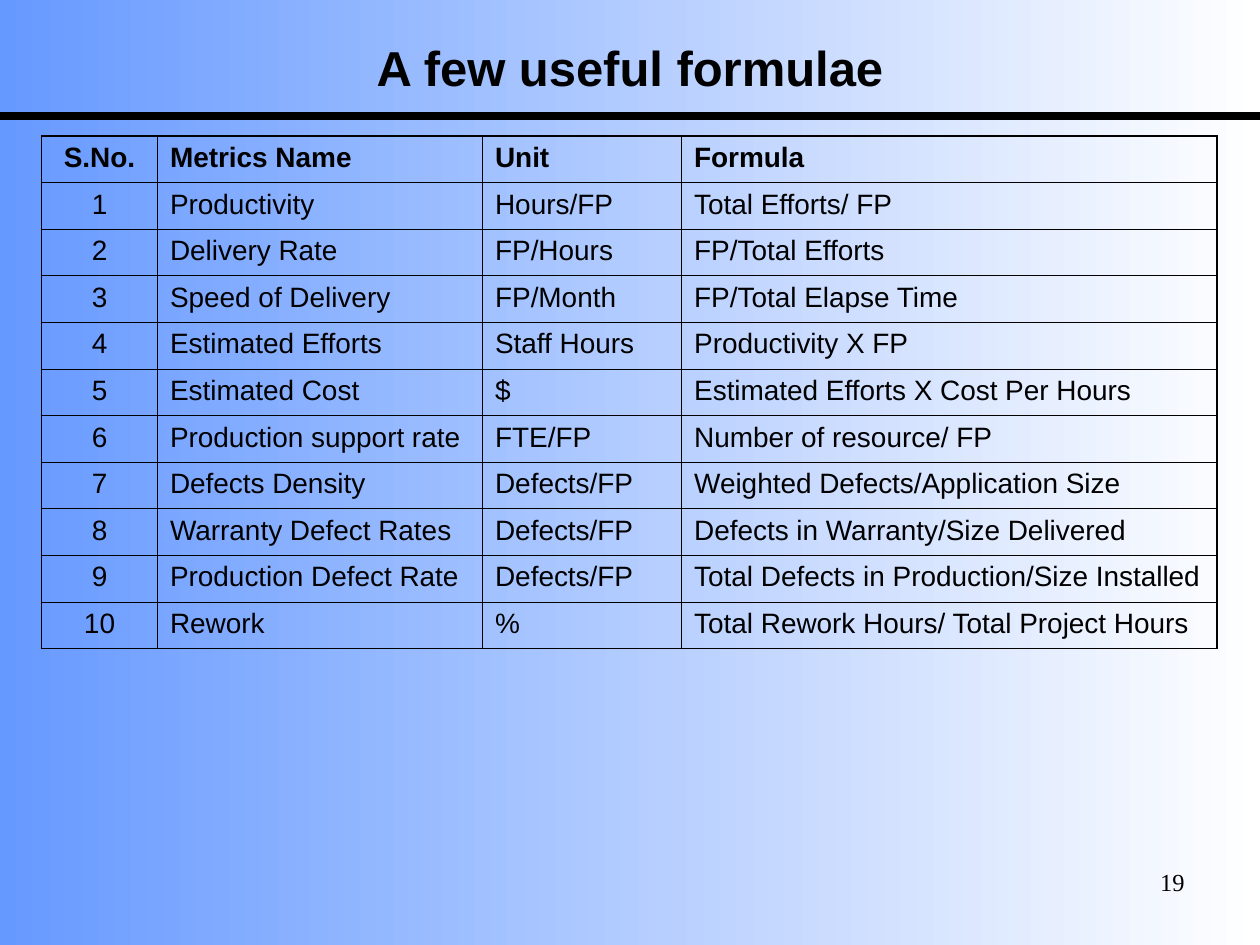
from dataclasses import dataclass

from lxml.etree import SubElement
from pptx import Presentation
from pptx.dml.color import RGBColor
from pptx.enum.shapes import MSO_CONNECTOR
from pptx.enum.text import MSO_ANCHOR, MSO_AUTO_SIZE, PP_ALIGN
from pptx.oxml.ns import qn
from pptx.util import Inches, Pt


@dataclass(frozen=True)
class Theme:
    """Colours, fonts and sizes of the slide."""

    ink: RGBColor = RGBColor(0, 0, 0)
    gradient: tuple = (RGBColor(0xFF, 0xFF, 0xFF), RGBColor(0x66, 0x99, 0xFF))
    sans: str = "Arial"
    serif: str = "Times New Roman"
    title_size: float = 28
    table_size: float = 16
    number_size: float = 14
    rule_width: float = 4.5
    outer_border: float = 1.08
    inner_border: float = 0.45


THEME = Theme()
COLUMN_WIDTHS = (0.92, 2.58, 1.58, 4.25)
METRICS = (
    ("S.No.", "Metrics Name", "Unit", "Formula"),
    ("1", "Productivity", "Hours/FP", "Total Efforts/ FP"),
    ("2", "Delivery Rate", "FP/Hours", "FP/Total Efforts"),
    ("3", "Speed of Delivery", "FP/Month", "FP/Total Elapse Time"),
    ("4", "Estimated Efforts", "Staff Hours", "Productivity X FP"),
    ("5", "Estimated Cost", "$", "Estimated Efforts X Cost Per Hours"),
    ("6", "Production support rate", "FTE/FP", "Number of resource/ FP"),
    ("7", "Defects Density", "Defects/FP", "Weighted Defects/Application Size"),
    ("8", "Warranty Defect Rates", "Defects/FP", "Defects in Warranty/Size Delivered"),
    ("9", "Production Defect Rate", "Defects/FP", "Total Defects in Production/Size Installed"),
    ("10", "Rework", "%", "Total Rework Hours/ Total Project Hours"),
)


def style_paragraph(paragraph, font_name, size, bold=False, alignment=PP_ALIGN.LEFT):
    """Set the font and alignment of one paragraph."""
    paragraph.alignment = alignment
    font = paragraph.font
    font.name, font.size, font.bold = font_name, Pt(size), bold
    font.color.rgb = THEME.ink


def fill_background(slide):
    """Fill the slide with the horizontal gradient."""
    fill = slide.background.fill
    fill.gradient()
    fill.gradient_angle = 180
    for stop, position, colour in zip(fill.gradient_stops, (0, 1), THEME.gradient):
        stop.position = position
        stop.color.rgb = colour


def add_rule(slide, left, top, width):
    """Draw the heavy line below the title."""
    rule = slide.shapes.add_connector(MSO_CONNECTOR.STRAIGHT, left, top, left + width, top)
    rule.line.color.rgb = THEME.ink
    rule.line.width = Pt(THEME.rule_width)
    SubElement(rule._element.spPr, qn("a:effectLst"))


def place_title(slide, text, left, top, width, height):
    """Move, fill and format the title placeholder."""
    title = slide.shapes.title
    title.left, title.top, title.width, title.height = left, top, width, height
    frame = title.text_frame
    frame.text = text
    frame.auto_size = MSO_AUTO_SIZE.NONE
    frame.vertical_anchor = MSO_ANCHOR.MIDDLE
    style_paragraph(frame.paragraphs[0], THEME.sans, THEME.title_size, True, PP_ALIGN.CENTER)


def set_borders(cell, outer_sides):
    """Draw the four borders of a cell, heavier on the outer sides."""
    properties = cell._tc.get_or_add_tcPr()
    for side in "LRTB":
        width = THEME.outer_border if side in outer_sides else THEME.inner_border
        line = SubElement(properties, qn(f"a:ln{side}"), w=str(Pt(width)))
        solid = SubElement(line, qn("a:solidFill"))
        SubElement(solid, qn("a:srgbClr"), val=str(THEME.ink))


def add_metrics_table(slide, left, top, row_height):
    """Add the table of metrics, units and formulae."""
    row_count, column_count = len(METRICS), len(COLUMN_WIDTHS)
    table = slide.shapes.add_table(
        row_count, column_count, left, top, Inches(sum(COLUMN_WIDTHS)), row_height * row_count
    ).table
    table.first_row = table.horz_banding = False
    for column, width in zip(table.columns, COLUMN_WIDTHS):
        column.width = Inches(width)
    for row_index, values in enumerate(METRICS):
        for column_index, value in enumerate(values):
            cell = table.cell(row_index, column_index)
            cell.text = value
            paragraph = cell.text_frame.paragraphs[0]
            alignment = PP_ALIGN.LEFT if column_index else PP_ALIGN.CENTER
            style_paragraph(paragraph, THEME.sans, THEME.table_size, row_index == 0, alignment)
            paragraph.space_before = Pt(4)
            edges = {
                "L": column_index == 0,
                "R": column_index == column_count - 1,
                "T": row_index == 0,
                "B": row_index == row_count - 1,
            }
            set_borders(cell, [side for side, is_outer in edges.items() if is_outer])
            cell.fill.background()


def add_page_number(slide, text, left, top, width, height):
    """Add the right-aligned page number."""
    frame = slide.shapes.add_textbox(left, top, width, height).text_frame
    frame.word_wrap = True
    frame.text = text
    style_paragraph(frame.paragraphs[0], THEME.serif, THEME.number_size, alignment=PP_ALIGN.RIGHT)


def main():
    """Build and save the slide."""
    presentation = Presentation()
    presentation.slide_width, presentation.slide_height = Inches(10), Inches(7.5)
    slide = presentation.slides.add_slide(presentation.slide_layouts[5])
    fill_background(slide)
    add_rule(slide, Inches(0), Inches(0.92), presentation.slide_width)
    place_title(
        slide, "A few useful formulae", Inches(0.5), Inches(0.22), Inches(9), Inches(0.62)
    )
    add_metrics_table(slide, Inches(0.33), Inches(1.08), Inches(0.37))
    add_page_number(slide, "19", Inches(6.92), Inches(6.83), Inches(2.58), Inches(0.52))
    presentation.save("out.pptx")


if __name__ == "__main__":
    main()
